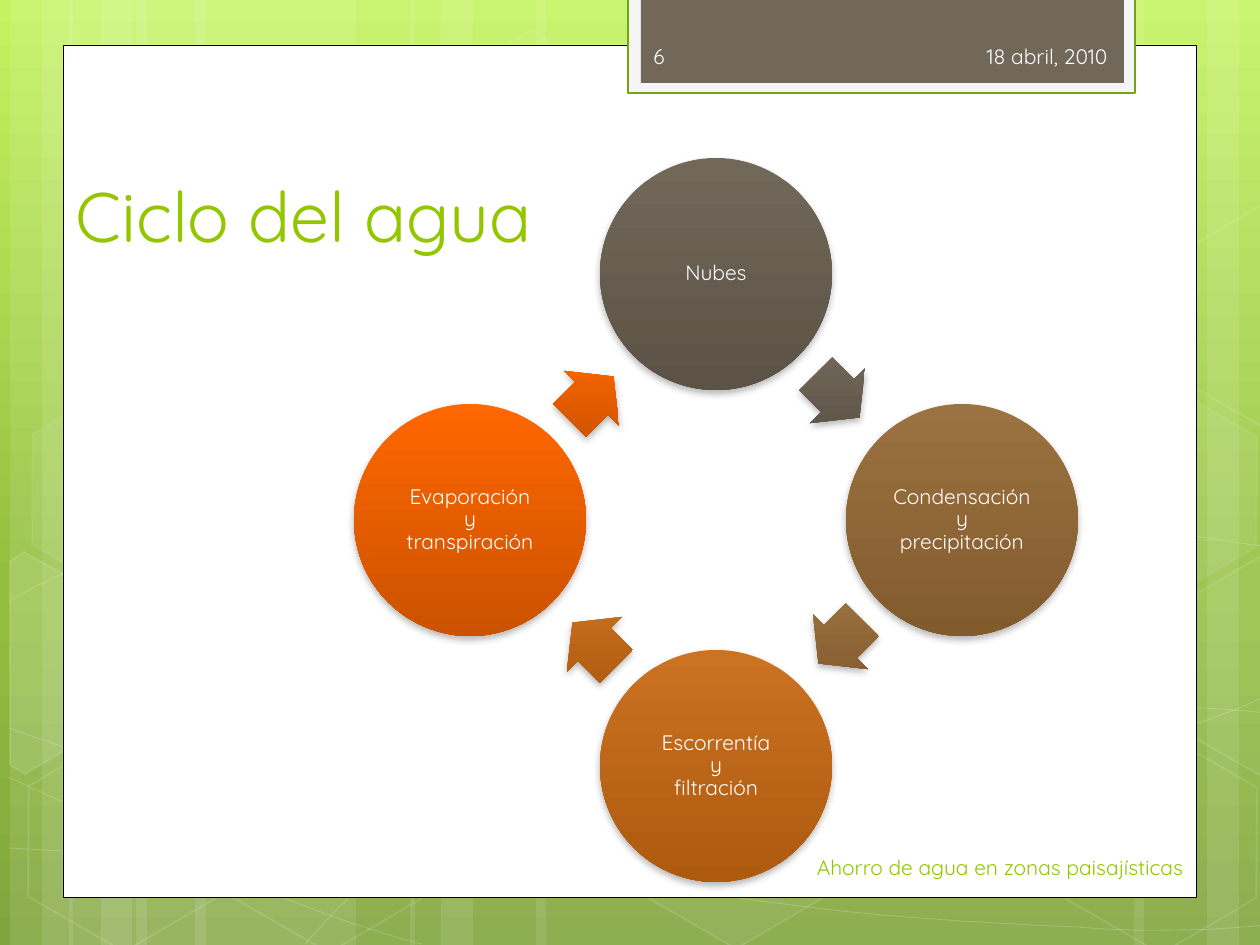
from dataclasses import dataclass
from math import cos, radians, sin

from lxml import etree
from pptx import Presentation
from pptx.dml.color import RGBColor
from pptx.enum.shapes import MSO_SHAPE
from pptx.enum.text import MSO_ANCHOR, PP_ALIGN
from pptx.oxml.ns import qn
from pptx.util import Emu, Pt

RECT, OVAL = MSO_SHAPE.RECTANGLE, MSO_SHAPE.OVAL
HEXAGON, ARROW = MSO_SHAPE.HEXAGON, MSO_SHAPE.RIGHT_ARROW
LEFT, CENTER, RIGHT = PP_ALIGN.LEFT, PP_ALIGN.CENTER, PP_ALIGN.RIGHT
MIDDLE, BOTTOM = MSO_ANCHOR.MIDDLE, MSO_ANCHOR.BOTTOM
PX = 914400 // 126
WIDTH, HEIGHT = 1260, 945
TITLE_ONLY = 5
TILT = 30


@dataclass(frozen=True)
class Theme:
    font: str = "Quicksand"
    title_size: int = 40
    body_size: int = 12
    white: str = "FFFFFF"
    black: str = "000000"
    green: str = "94C600"
    tab_rim: str = "F5F5F5"
    tab_line: str = "74A510"
    tab: str = "71685A"
    tab_text: str = "FEFEFE"
    backdrop: tuple = ((0, "C3F35F"), (62, "93BF3F"), (100, "81A53E"))


THEME = Theme()

# Left edge, width and rotation of the translucent vertical bands
BANDS = [(136, 220, 0), (10, 63, 0), (42, 105, 0), (195, 220, 0), (69, 63, 0),
         (101, 105, 0), (924, 220, 180), (1207, 63, 180), (1134, 105, 180),
         (536, 388, 0), (410, 63, 0), (441, 105, 0)]

# Bezier waves: a start point, then three points for each segment
WAVES = [
    [(9, 848), (77, 852), (145, 856), (239, 854), (334, 853), (451, 851), (577, 838),
     (703, 825), (882, 801), (998, 777), (1113, 753), (1231, 716), (1269, 694)],
    [(9, 601), (45, 581), (82, 562), (152, 543), (224, 524), (326, 496), (437, 488),
     (549, 479), (685, 478), (824, 488), (963, 498), (1193, 537), (1269, 547)],
    [(8, 777), (160, 847), (311, 916), (421, 944)],
    [(9, 728), (48, 742), (88, 756), (161, 776), (234, 795), (344, 827), (450, 848),
     (554, 869), (687, 892), (791, 905), (896, 919), (1008, 924), (1075, 927),
     (1140, 932), (1158, 930), (1191, 930), (1223, 929), (1246, 927), (1269, 925)],
    [(305, 944), (328, 919), (350, 893), (381, 871), (411, 848), (454, 823), (489, 805),
     (524, 788), (546, 780), (592, 767), (638, 754), (722, 737), (766, 728),
     (811, 719), (818, 719), (857, 717), (896, 713), (958, 709), (1000, 708),
     (1045, 707), (1116, 708), (1116, 708), (1144, 708), (1173, 708), (1201, 708),
     (1224, 709), (1245, 711), (1256, 712), (1268, 713), (1264, 712), (1268, 713)],
]

# Left, top, fill opacity and line opacity of whole hexagons
HEXAGONS = [(421, 45, 4, 8), (626, 742, 6, 12), (14, 745, 0, 12), (18, 393, 7, 8),
            (219, 746, 0, 12), (949, 571, 10, 12), (1051, 747, 0, 12), (1051, 396, 7, 8)]

# Corners and fill opacity of hexagons cut at the slide edge
CUT_HEXAGONS = [
    ([(10, 561), (24, 552), (121, 607), (120, 718), (25, 774), (10, 765)], 10),
    ([(1167, 611), (1261, 556), (1271, 562), (1271, 772), (1263, 777), (1167, 722)], 4),
    ([(1167, 261), (1261, 205), (1273, 212), (1271, 422), (1263, 427), (1167, 372)], 0),
]

# Stages clockwise from the top, with their gradient
STAGES = [("Nubes", "71685A", "5C5346"),
          ("Condensación\vy\vprecipitación", "9B7241", "825B2D"),
          ("Escorrentía\vy\vfiltración", "CB7223", "AE5A0F"),
          ("Evaporación\vy\vtranspiración", "FF6700", "CB5200")]


def px(*lengths):
    return [Emu(round(length * PX)) for length in lengths]


def set_opacity(paint, percent):
    color = paint.find(".//" + qn("a:srgbClr"))
    etree.SubElement(color, qn("a:alpha"), val=str(percent * 1000))


def set_paint(shape, fill=None, line=None, line_width=1, fill_opacity=100, line_opacity=100):
    shape.shadow.inherit = False
    properties = shape._element.spPr
    if fill and fill_opacity:
        shape.fill.solid()
        shape.fill.fore_color.rgb = RGBColor.from_string(fill)
        if fill_opacity < 100:
            set_opacity(properties.find(qn("a:solidFill")), fill_opacity)
    else:
        shape.fill.background()
    if line:
        shape.line.color.rgb = RGBColor.from_string(line)
        shape.line.width = Pt(line_width)
        if line_opacity < 100:
            set_opacity(properties.find(qn("a:ln")), line_opacity)
    else:
        shape.line.fill.background()


def set_gradient(fill, stops):
    fill.gradient()
    fill.gradient_angle = 270
    gradient = fill._fill._gradFill
    gradient.set("rotWithShape", "0")
    stop_list = gradient.find(qn("a:gsLst"))
    for stop in list(stop_list):
        stop_list.remove(stop)
    for position, color in stops:
        stop = etree.SubElement(stop_list, qn("a:gs"), pos=str(position * 1000))
        etree.SubElement(stop, qn("a:srgbClr"), val=color)


def add_shape(slide, kind, box, rotation=0, **paint):
    shape = slide.shapes.add_shape(kind, *px(*box))
    shape.rotation = rotation
    set_paint(shape, **paint)
    return shape


def add_outline(slide, points, close, **paint):
    start, *others = [px(*point) for point in points]
    builder = slide.shapes.build_freeform(*start)
    builder.add_line_segments(others, close=close)
    outline = builder.convert_to_shape()
    set_paint(outline, **paint)
    return outline


def add_wave(slide, points, **paint):
    wave = add_outline(slide, points, False, **paint)
    route = wave._element.spPr.find(".//" + qn("a:path"))
    segments = route.findall(qn("a:lnTo"))
    for first in range(0, len(segments), 3):
        curve = etree.SubElement(route, qn("a:cubicBezTo"))
        for segment in segments[first:first + 3]:
            curve.append(segment[0])
            route.remove(segment)


def turn(point, degrees):
    (x, y), angle = point, radians(degrees)
    return x * cos(angle) - y * sin(angle), x * sin(angle) + y * cos(angle)


def add_tilted(slide, corners, **paint):
    level = [turn(corner, -TILT) for corner in corners]
    middle = [(min(values) + max(values)) / 2 for values in zip(*level)]
    pivot = turn(middle, TILT)
    shifted = [(x - middle[0] + pivot[0], y - middle[1] + pivot[1]) for x, y in level]
    add_outline(slide, shifted, True, **paint).rotation = TILT


def add_glossy(slide, kind, box, colors, rotation=0):
    shape = add_shape(slide, kind, box, rotation)
    set_gradient(shape.fill, zip((0, 100), colors))
    effects = shape._element.spPr.find(qn("a:effectLst"))
    shadow = etree.SubElement(effects, qn("a:outerShdw"), blurRad=str(Pt(4)),
                              dist=str(Pt(2)), dir="5400000", rotWithShape="0")
    etree.SubElement(shadow, qn("a:srgbClr"), val=THEME.black)
    set_opacity(shadow, 28)
    return shape


def set_text(shape, text, color, size=THEME.body_size, align=LEFT, anchor=MIDDLE):
    frame = shape.text_frame
    frame.text = text
    frame.word_wrap = True
    frame.vertical_anchor = anchor
    paragraph = frame.paragraphs[0]
    paragraph.alignment = align
    for run in paragraph.runs:
        run.font.name, run.font.size = THEME.font, Pt(size)
        run.font.color.rgb = RGBColor.from_string(color)
    for line_break in paragraph._p.findall(qn("a:br")):
        etree.SubElement(line_break, qn("a:rPr"), sz=str(size * 100))


def add_label(slide, box, text, color, align=LEFT):
    set_text(slide.shapes.add_textbox(*px(*box)), text, color, align=align)


def draw_backdrop(slide):
    set_gradient(slide.background.fill, THEME.backdrop)
    for left, width, rotation in BANDS:
        add_shape(slide, RECT, (left, 0, width, HEIGHT), rotation, fill=THEME.white,
                  fill_opacity=10)
    for wave in WAVES:
        add_wave(slide, wave, line=THEME.white, line_width=0.5, line_opacity=20)
    for left, top, fill_opacity, line_opacity in HEXAGONS:
        hexagon = add_shape(slide, HEXAGON, (left, top, 220, 192), TILT, fill=THEME.white,
                            line=THEME.white, fill_opacity=fill_opacity,
                            line_opacity=line_opacity)
        hexagon.adjustments[0], hexagon.adjustments[1] = 0.285, 1.155
    for corners, opacity in CUT_HEXAGONS:
        add_tilted(slide, corners, fill=THEME.white, line=THEME.white,
                   fill_opacity=opacity, line_opacity=12)


def draw_panel(slide):
    add_shape(slide, RECT, (63, 45, 1134, 853), fill=THEME.white, line=THEME.black,
              line_width=0.5)
    add_shape(slide, RECT, (628, -3, 507, 96), fill=THEME.tab_rim, line=THEME.tab_line,
              line_width=1.25)
    add_shape(slide, RECT, (641, -3, 483, 86), fill=THEME.tab)


def place_title(slide, text):
    title = slide.shapes.title
    title.left, title.top, title.width, title.height = px(63, 105, 968, 158)
    set_text(title, text, THEME.green, THEME.title_size, anchor=BOTTOM)
    slide.shapes._spTree.append(title._element)  # in front of the panel


def draw_cycle(slide, center_x=716, center_y=520, ring=246, diameter=232):
    arrow_width, arrow_height, setback = 62, 78, 2
    for index, (name, *colors) in enumerate(STAGES):
        # Stage circle
        x, y = turn((0, -ring), 90 * index)
        stage = add_glossy(slide, OVAL, (center_x + x - diameter / 2,
                                         center_y + y - diameter / 2,
                                         diameter, diameter), colors)
        set_text(stage, name, THEME.white, align=CENTER)
        frame = stage.text_frame
        frame.margin_left = frame.margin_right = frame.margin_top = frame.margin_bottom = px(2)[0]
        frame.paragraphs[0].line_spacing = 0.9
        # Arrow to the next stage, halfway along the chord
        heading = 90 * index + 45
        x, y = turn((-setback, -ring * cos(radians(45))), heading)
        arrow = add_glossy(slide, ARROW, (center_x + x - arrow_width / 2,
                                          center_y + y - arrow_height / 2,
                                          arrow_width, arrow_height), colors, heading)
        arrow.adjustments[0], arrow.adjustments[1] = 0.6, 0.5


def main():
    deck = Presentation()
    deck.slide_width, deck.slide_height = px(WIDTH, HEIGHT)
    slide = deck.slides.add_slide(deck.slide_layouts[TITLE_ONLY])
    draw_backdrop(slide)
    draw_panel(slide)
    place_title(slide, "Ciclo del agua")
    draw_cycle(slide)
    # Date, footer and slide number
    add_label(slide, (826, 31, 294, 50), "18 abril, 2010", THEME.tab_text, RIGHT)
    add_label(slide, (713, 842, 483, 50), "Ahorro de agua en zonas paisajísticas",
              THEME.green, RIGHT)
    add_label(slide, (641, 31, 184, 50), "6", THEME.tab_text)
    deck.save("out.pptx")


main()
